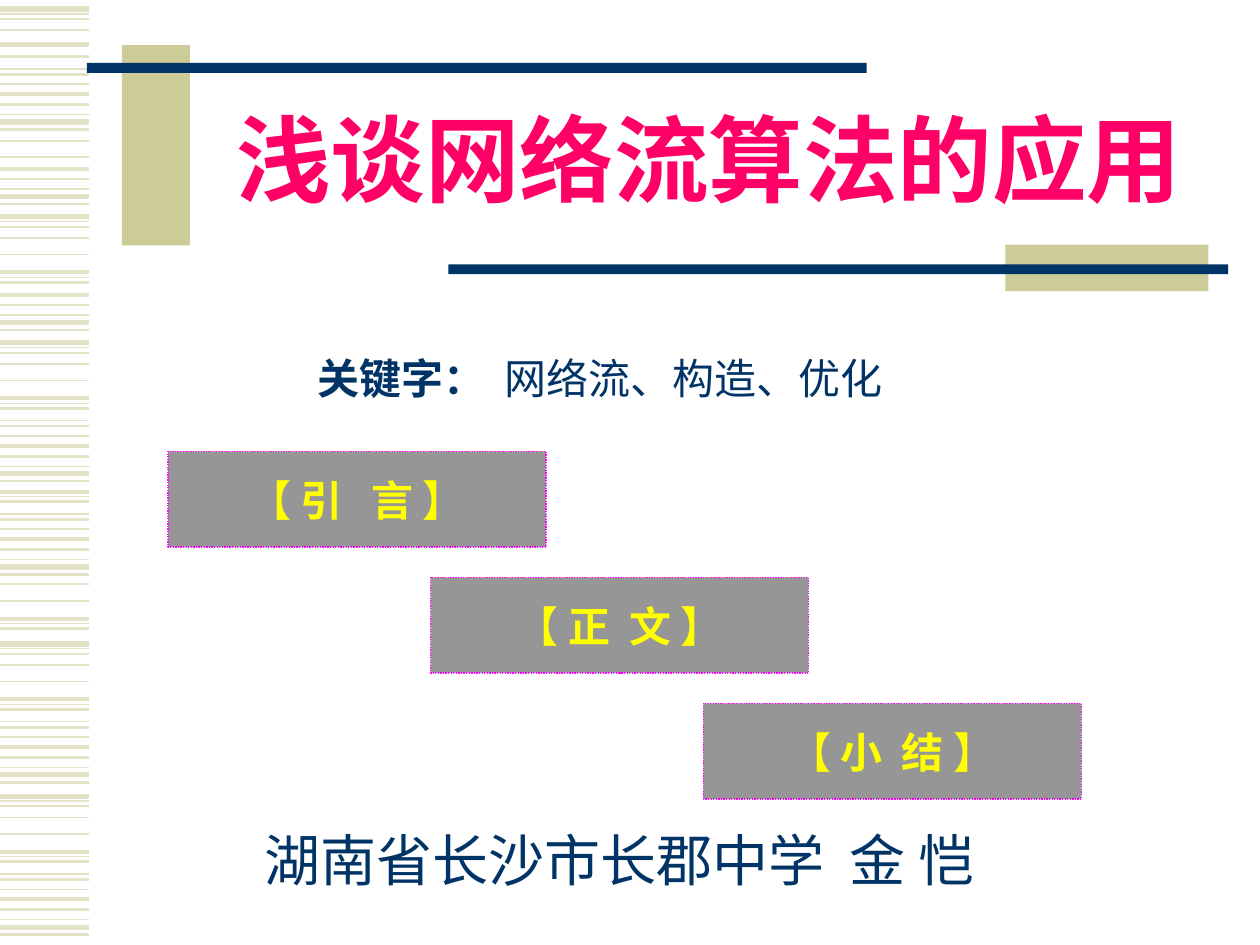
from dataclasses import dataclass

from lxml.etree import SubElement
from pptx import Presentation
from pptx.dml.color import RGBColor as RGB
from pptx.enum.dml import MSO_LINE_DASH_STYLE as Dash
from pptx.enum.shapes import MSO_CONNECTOR as Connector, MSO_SHAPE as Shape
from pptx.enum.text import MSO_ANCHOR as Anchor, PP_ALIGN as Align
from pptx.oxml.ns import qn
from pptx.util import Cm, Pt


@dataclass(frozen=True)
class Theme:
    stripe: RGB = RGB(0xE3, 0xE2, 0xC7)
    khaki: RGB = RGB(0xCC, 0xCC, 0x99)
    navy: RGB = RGB(0x00, 0x33, 0x66)
    pink: RGB = RGB(0xFF, 0x00, 0x66)
    gray: RGB = RGB(0x96, 0x96, 0x96)
    magenta: RGB = RGB(0xFF, 0x00, 0xFF)
    yellow: RGB = RGB(0xFF, 0xFF, 0x00)
    title_size: int = 54
    author_size: int = 32
    body_size: int = 24
    serif: str = "Times New Roman"
    sans: str = "Noto Sans CJK SC"


@dataclass(frozen=True)
class Box:
    """A rectangle in centimetres."""
    left: float
    top: float
    width: float
    height: float

    def lengths(self) -> tuple:
        return Cm(self.left), Cm(self.top), Cm(self.width), Cm(self.height)


@dataclass(frozen=True)
class Label:
    text: str
    box: Box
    size: int
    color: RGB
    font: str
    bold: bool = False
    align: Align = Align.CENTER


@dataclass(frozen=True)
class StripeRun:
    """The motif's stripes from first up to end, shifted down by top."""
    top: float
    first: int = 0
    end: int = 16


T = Theme()

STRIPE_WIDTH = 1.8
# (offset in cm, weight in points)
MOTIF = [
    (0, 3), (0.1, 0.75), (0.2, 1), (0.43, 1), (0.76, 1), (1.12, 2.25),
    (1.22, 0.75), (1.32, 1.5), (1.57, 0.75), (1.68, 1.5), (1.88, 1),
    (2.08, 2.25), (2.29, 1.5), (2.49, 0.75), (2.64, 3), (2.79, 1.5),
]
STRIPE_RUNS = [
    StripeRun(0.18, end=4), StripeRun(0.89, end=1), StripeRun(-0.18, first=7),
    StripeRun(2.41, 3, 5), StripeRun(1.32, first=11),
    StripeRun(4.37, end=8), StripeRun(3.86, first=11),
    StripeRun(6.91), StripeRun(8.79, first=5), StripeRun(11.35, 3, 8),
    StripeRun(12.98), StripeRun(16.05),
]

BARS = [
    (Box(2.46, 0.91, 1.37, 4.04), T.khaki),
    (Box(1.75, 1.27, 15.72, 0.2), T.navy),
    (Box(20.27, 4.93, 4.09, 0.94), T.khaki),
    (Box(9.04, 5.33, 15.72, 0.2), T.navy),
]

TITLE = Label("浅谈网络流算法的应用", Box(4.45, 1.9, 19.68, 2.54),
              T.title_size, T.pink, T.serif, bold=True)
AUTHOR = Label("湖南省长沙市长郡中学  金 恺", Box(3.7, 16.51, 17.58, 1.63),
               T.author_size, T.navy, T.sans)
KEYWORDS = Label("关键字：  ", Box(6.15, 6.98, 14.6, 1.27),
                 T.body_size, T.navy, T.sans, bold=True, align=Align.LEFT)

BUTTON_LEFTS = {"【 引   言 】": 3.39, "【 正  文 】": 8.68, "【 小  结 】": 14.18}
BUTTON_TOP, BUTTON_STEP = 9.1, 2.54
BUTTON_WIDTH, BUTTON_HEIGHT = 7.62, 1.93


def add_stripe(s, y: float, weight: float) -> None:
    line = s.shapes.add_connector(Connector.STRAIGHT, 0, Cm(y), Cm(STRIPE_WIDTH), Cm(y))
    line.line.color.rgb = T.stripe
    line.line.width = Pt(weight)
    SubElement(line._element.spPr, qn("a:effectLst"))


def add_rect(s, box: Box, fill: RGB):
    sp = s.shapes.add_shape(Shape.RECTANGLE, *box.lengths())
    sp.shadow.inherit = False
    sp.fill.solid()
    sp.fill.fore_color.rgb = fill
    sp.line.fill.background()
    return sp


def write_label(sp, label: Label):
    """Fill a shape with one styled paragraph and return the paragraph."""
    tf = sp.text_frame
    tf.word_wrap = True
    tf.vertical_anchor = Anchor.MIDDLE
    p = tf.paragraphs[0]
    p.alignment = label.align
    p.add_run().text = label.text
    font = p.font
    font.size = Pt(label.size)
    font.bold = label.bold
    font.color.rgb = label.color
    font.name = label.font
    SubElement(font._element, qn("a:ea"), typeface=T.sans)
    return p


def add_label(s, label: Label):
    return write_label(s.shapes.add_textbox(*label.box.lengths()), label)


def add_button(s, label: Label) -> None:
    sp = add_rect(s, label.box, T.gray)
    sp.line.color.rgb = T.magenta
    sp.line.width = Pt(0.75)
    sp.line.dash_style = Dash.ROUND_DOT
    write_label(sp, label)


def main() -> None:
    prs = Presentation()
    prs.slide_width, prs.slide_height = Cm(25.4), Cm(19.05)
    s = prs.slides.add_slide(prs.slide_layouts[6])

    for run in STRIPE_RUNS:
        for offset, weight in MOTIF[run.first:run.end]:
            add_stripe(s, run.top + offset, weight)
    for box, color in BARS:
        add_rect(s, box, color)

    add_label(s, TITLE)
    add_label(s, AUTHOR)
    r = add_label(s, KEYWORDS).add_run()
    r.text = "网络流、构造、优化"
    r.font.bold = False

    for i, (text, left) in enumerate(BUTTON_LEFTS.items()):
        box = Box(left, BUTTON_TOP + i * BUTTON_STEP, BUTTON_WIDTH, BUTTON_HEIGHT)
        add_button(s, Label(text, box, T.body_size, T.yellow, T.sans, bold=True))

    prs.save("out.pptx")


if __name__ == "__main__":
    main()
